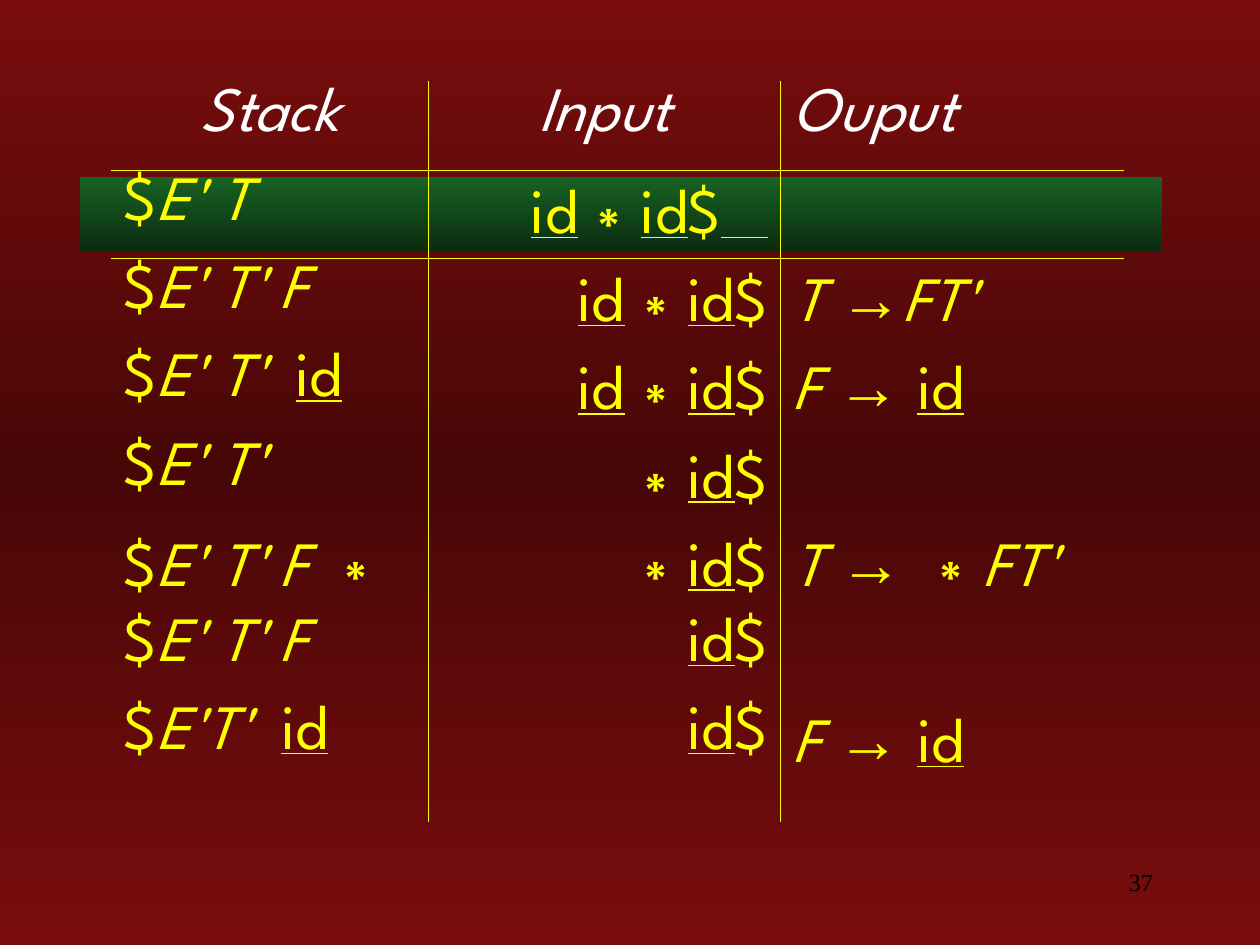
import copy

import lxml.etree
import pptx
import pptx.dml.color
import pptx.enum.shapes
import pptx.enum.text
import pptx.oxml.ns
import pptx.util

Pt = pptx.util.Pt
qn = pptx.oxml.ns.qn
ALIGN = pptx.enum.text.PP_ALIGN

COLORS = {
    "edge": "790D0D",
    "middle": "480707",
    "band_top": "186224",
    "band_bottom": "0B2D10",
    "text": "FFFF00",
    "heading": "FFFFFF",
    "number": "000000",
}
NO_STYLE = "{2D5ABB26-0587-4C30-8999-92F81FD0307C}"


class SlideBuilder:
    font = "League Spartan"
    symbol_font = "Arial"
    number_font = "Times New Roman"
    size = 36
    line_width = 0.45

    def __init__(self, deck):
        self.slide = deck.slides.add_slide(deck.slide_layouts[6])

    def color(self, name):
        return pptx.dml.color.RGBColor.from_string(COLORS[name])

    def gradient(self, fill, element, names):
        fill.gradient()
        fill.gradient_angle = 270
        stop_list = next(element.iter(qn("a:gsLst")))
        while len(stop_list) < len(names):
            stop_list.append(copy.deepcopy(stop_list[-1]))
        for index, (stop, name) in enumerate(zip(fill.gradient_stops, names)):
            stop.position = index / (len(names) - 1)
            stop.color.rgb = self.color(name)

    def background(self, names):
        self.gradient(self.slide.background.fill, self.slide.element, names)

    def band(self, left, top, width, height, names):
        box = self.slide.shapes.add_shape(
            pptx.enum.shapes.MSO_SHAPE.RECTANGLE, Pt(left), Pt(top), Pt(width), Pt(height))
        box.shadow.inherit = False
        box.line.fill.background()
        self.gradient(box.fill, box.element, names)

    def style(self, para, font, size, color, align):
        para.alignment = align
        para.font.name = font
        para.font.size = Pt(size)
        para.font.color.rgb = self.color(color)

    def border(self, cell, sides):
        properties = cell._tc.get_or_add_tcPr()
        for index, side in enumerate(sides):
            line = lxml.etree.Element(qn("a:ln" + side), w=str(Pt(self.line_width)))
            fill = lxml.etree.SubElement(line, qn("a:solidFill"))
            lxml.etree.SubElement(fill, qn("a:srgbClr"), val=COLORS["text"])
            properties.insert(index, line)

    def cell(self, cell, runs, color, align):
        cell.fill.background()
        para = cell.text_frame.paragraphs[0]
        self.style(para, self.font, self.size, color, align)
        para.space_before = Pt(9)
        for text, marks in runs:
            span = para.add_run()
            span.text = text
            if "i" in marks:
                span.font.italic = True
            if "u" in marks:
                span.font.underline = True
            if "s" in marks:
                span.font.name = self.symbol_font
            if "b" in marks:
                span.font.bold = True

    def table(self, left, top, widths, heights, rows, aligns):
        frame = self.slide.shapes.add_table(
            len(rows), len(widths), Pt(left), Pt(top), Pt(sum(widths)), Pt(sum(heights)))
        table = frame.table
        table.first_row = table.horz_banding = False
        next(frame.element.iter(qn("a:tableStyleId"))).text = NO_STYLE
        for column, width in zip(table.columns, widths):
            column.width = Pt(width)
        for row, height in zip(table.rows, heights):
            row.height = Pt(height)
        last = len(widths) - 1
        for r, row in enumerate(rows):
            for c, runs in enumerate(row):
                heading = r == 0
                align = ALIGN.CENTER if heading and c < last else aligns[c]
                cell = table.cell(r, c)
                self.cell(cell, runs, "heading" if heading else "text", align)
                sides = ["L"] * (c > 0) + ["R"] * (c < last)
                sides += ["T"] * (r == 1) + ["B"] * heading
                self.border(cell, sides)

    def number(self, left, top, width, height, text):
        box = self.slide.shapes.add_textbox(Pt(left), Pt(top), Pt(width), Pt(height))
        box.text_frame.word_wrap = True
        para = box.text_frame.paragraphs[0]
        para.text = text
        self.style(para, self.number_font, 14, "number", ALIGN.RIGHT)


def main():
    deck = pptx.Presentation()
    deck.slide_width, deck.slide_height = Pt(720), Pt(540)

    dollar = ("$", "")
    token = ("id", "u")
    star = ("∗", "s")
    last_token = [token, dollar]
    star_token = [star] + last_token
    full_input = [token] + star_token
    factor_to_token = [("F ", "i"), ("→ ", "sb"), token]
    rows = [
        [[("Stack", "i")], [("Input", "i")], [("Ouput", "i")]],
        [[dollar, ("E' T", "i")], full_input + [("   ", "u")], []],
        [[dollar, ("E' T' F", "i")], full_input,
         [("T ", "i"), ("→", "sb"), ("FT'", "i")]],
        [[dollar, ("E' T'  ", "i"), token], full_input, factor_to_token],
        [[dollar, ("E' T'", "i")], star_token, []],
        [[dollar, ("E' T' F ", "i"), star], star_token,
         [("T ", "i"), ("→ ", "sb"), star, ("FT'", "i")]],
        [[dollar, ("E' T' F", "i")], last_token, []],
        [[dollar, ("E'T'  ", "i"), token], last_token, factor_to_token],
    ]

    page = SlideBuilder(deck)
    page.background(["edge", "middle", "edge"])
    page.band(45.5, 101, 618.5, 42.3, ["band_top", "band_bottom"])
    page.table(63.4, 46.2, [181.5, 201, 196.7], [51] + [50.4] * 6 + [70],
               rows, [ALIGN.LEFT, ALIGN.RIGHT, ALIGN.LEFT])
    page.number(516, 492, 150, 36, "37")
    deck.save("out.pptx")


if __name__ == "__main__":
    main()
